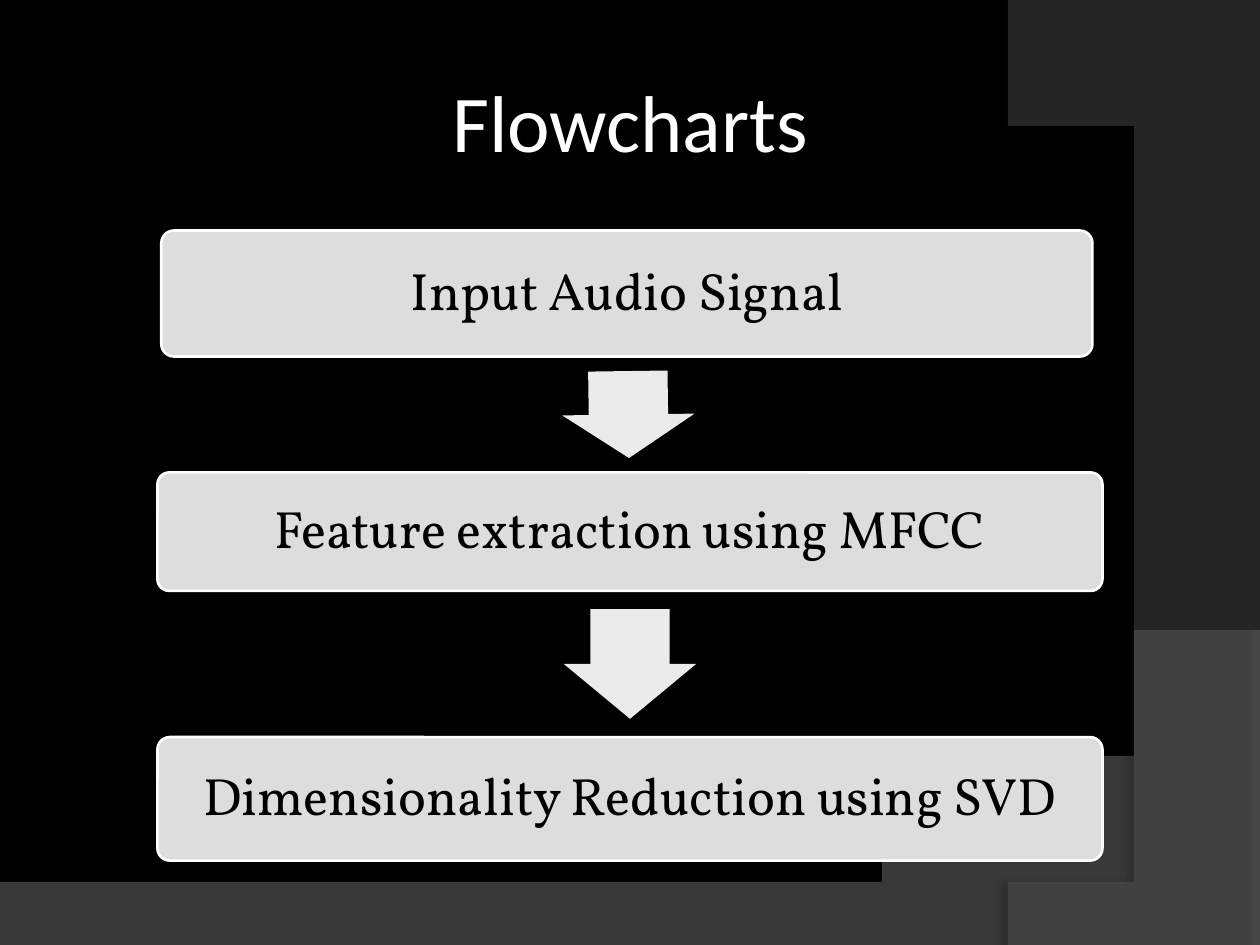
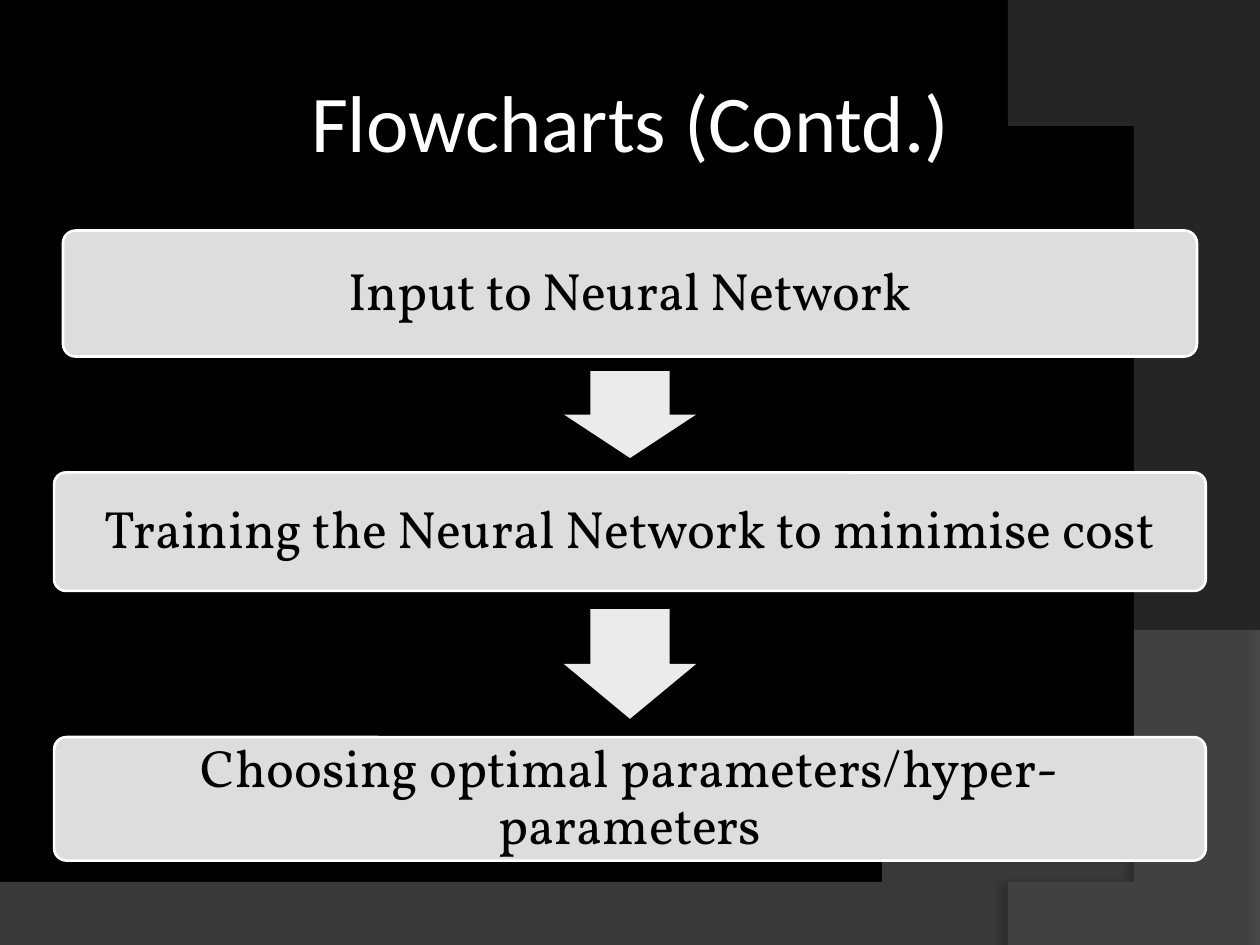
import math

import pptx
import pptx.dml.color
import pptx.enum.shapes
import pptx.enum.text
import pptx.oxml
import pptx.oxml.ns
import pptx.util
from pptx.util import Inches

TITLE_FONT, STEP_FONT = "Calibri", "Vollkorn"
BLACK, WHITE = "000000", "FFFFFF"
STEP_FILL, ARROW_FILL = "DDDDDD", "EBEBEB"
SWOOSH_FILL, CRESCENT_FILL = "7F7F7F", "5E5E5E"
SHAPES = pptx.enum.shapes.MSO_SHAPE

TITLE_BOX = (0.5, 0.33, 9, 1.25)
STEP_ROWS = [(1.83, 1), (3.75, 0.94), (5.85, 0.98)]  # top, height
ARROW_WIDTH = 1.05
ARROW_SHARE = 0.75  # arrow length as a share of the gap it fills

# title, then (text, left, width) of each step
FLOWCHARTS = [
    ("Flowcharts", [
        ("Input Audio Signal", 1.28, 7.39),
        ("Feature extraction using MFCC", 1.25, 7.5),
        ("Dimensionality Reduction using SVD", 1.25, 7.5),
    ]),
    ("Flowcharts (Contd.)", [
        ("Input to Neural Network", 0.5, 9),
        ("Training the Neural Network to minimise cost", 0.43, 9.14),
        ("Choosing optimal parameters/hyper-parameters", 0.43, 9.14),
    ]),
]


def paint(color_format, hex_color):
    color_format.rgb = pptx.dml.color.RGBColor.from_string(hex_color)


def fill_solid(fill, hex_color):
    fill.solid()
    paint(fill.fore_color, hex_color)


def write(shape, text, font, size, color, inset, line_spacing=None):
    frame = shape.text_frame
    frame.word_wrap = True
    frame.auto_size = pptx.enum.text.MSO_AUTO_SIZE.NONE
    frame.vertical_anchor = pptx.enum.text.MSO_ANCHOR.MIDDLE
    frame.margin_left = frame.margin_right = Inches(inset)
    frame.margin_top = frame.margin_bottom = Inches(inset)
    paragraph = frame.paragraphs[0]
    paragraph.alignment = pptx.enum.text.PP_ALIGN.CENTER
    paragraph.line_spacing = line_spacing
    run = paragraph.add_run()
    run.text = text
    run.font.name = font
    run.font.size = pptx.util.Pt(size)
    paint(run.font.color, color)


def add_block(slide, preset, box, color, adjustments):
    block = slide.shapes.add_shape(preset, *map(Inches, box))
    block.shadow.inherit = False
    fill_solid(block.fill, color)
    block.line.fill.background()
    for index, value in enumerate(adjustments):
        block.adjustments[index] = value
    return block


def bezier(start, control1, control2, end, steps=48):
    """Return the points of a cubic curve, both ends included."""
    points = []
    for step in range(steps + 1):
        t = step / steps
        weights = ((1 - t) ** 3, 3 * t * (1 - t) ** 2, 3 * t * t * (1 - t), t ** 3)
        points.append(tuple(
            sum(w * p[axis] for w, p in zip(weights, (start, control1, control2, end)))
            for axis in (0, 1)))
    return points


def add_backdrop_curve(slide, points, color, opacity, shadow):
    """Draw a translucent outline; shadow is (opacity, blur, distance, angle)."""
    builder = slide.shapes.build_freeform(*points[0], scale=Inches(1))
    builder.add_line_segments(points[1:], close=True)
    curve = builder.convert_to_shape()
    fill_solid(curve.fill, color)
    curve.line.fill.background()
    curve.shadow.inherit = False
    qn = pptx.oxml.ns.qn
    properties = curve.element.spPr
    alpha = pptx.oxml.parse_xml(
        f'<a:alpha {pptx.oxml.ns.nsdecls("a")} val="{opacity * 1000}"/>')
    properties.find(f'{qn("a:solidFill")}/{qn("a:srgbClr")}').append(alpha)
    shade, blur, distance, angle = shadow
    properties.find(qn("a:effectLst")).append(pptx.oxml.parse_xml(
        f'<a:outerShdw {pptx.oxml.ns.nsdecls("a")} blurRad="{pptx.util.Pt(blur)}" '
        f'dist="{pptx.util.Pt(distance)}" dir="{angle * 60000}" rotWithShape="0">'
        f'<a:srgbClr val="{BLACK}"><a:alpha val="{shade * 1000}"/></a:srgbClr>'
        f'</a:outerShdw>'))
    return curve


def build_backdrop(master, slide):
    """Draw the curves on a slide, then move them to the master behind all else."""
    fill_solid(master.background.fill, BLACK)
    swoosh = [(0, 7.51), (10, 7.51)]
    swoosh += bezier((10, 5.2), (5.59, 7.29), (3.91, 7.19), (0, 7.05))
    crescent = [(10, 0.02), (10, 7.5)]
    crescent += bezier((8.21, 7.5), (9.35, 6.19), (10.18, 3), (8, 0))
    curves = [
        add_backdrop_curve(slide, swoosh, SWOOSH_FILL, 45, (35, 4, 3.5, 270)),
        add_backdrop_curve(slide, crescent, CRESCENT_FILL, 40, (45, 4, 4, 180)),
    ]
    for position, curve in enumerate(curves, start=2):
        master.shapes.element.insert(position, curve.element)


def add_title(slide, text, box):
    title = slide.shapes.title
    title.left, title.top, title.width, title.height = map(Inches, box)
    write(title, text, font=TITLE_FONT, size=46, color=WHITE, inset=0.05)


def add_step(slide, text, box):
    step = add_block(slide, SHAPES.ROUNDED_RECTANGLE, box, STEP_FILL, [0.1])
    paint(step.line.color, WHITE)
    step.line.width = pptx.util.Pt(1.5)
    write(step, text, font=STEP_FONT, size=30, color=BLACK, inset=0.12,
          line_spacing=0.9)


def add_step_arrow(slide, upper, lower):
    """Centre an arrow in the gap, turned from the upper step's middle to the lower's."""
    (x1, y1), (x2, y2) = [(left + width / 2, top + height / 2)
                          for left, top, width, height in (upper, lower)]
    gap_top, gap_bottom = upper[1] + upper[3], lower[1]
    length = ARROW_SHARE * (gap_bottom - gap_top)
    box = ((x1 + x2 - length) / 2, (gap_top + gap_bottom - ARROW_WIDTH) / 2,
           length, ARROW_WIDTH)
    arrow = add_block(slide, SHAPES.RIGHT_ARROW, box, ARROW_FILL, [0.6, 0.5])
    arrow.rotation = math.degrees(math.atan2(y2 - y1, x2 - x1))


def build_flowchart(slide, title, steps):
    add_title(slide, title, TITLE_BOX)
    previous = None
    for (text, left, width), (top, height) in zip(steps, STEP_ROWS):
        box = (left, top, width, height)
        if previous:
            add_step_arrow(slide, previous, box)
        add_step(slide, text, box)
        previous = box


def main():
    deck = pptx.Presentation()
    deck.slide_width, deck.slide_height = Inches(10), Inches(7.5)
    title_only = deck.slide_layouts.get_by_name("Title Only")
    slides = [deck.slides.add_slide(title_only) for _ in FLOWCHARTS]
    build_backdrop(deck.slide_master, slides[0])
    for slide, (title, steps) in zip(slides, FLOWCHARTS):
        build_flowchart(slide, title, steps)
    deck.save("out.pptx")


if __name__ == "__main__":
    main()
